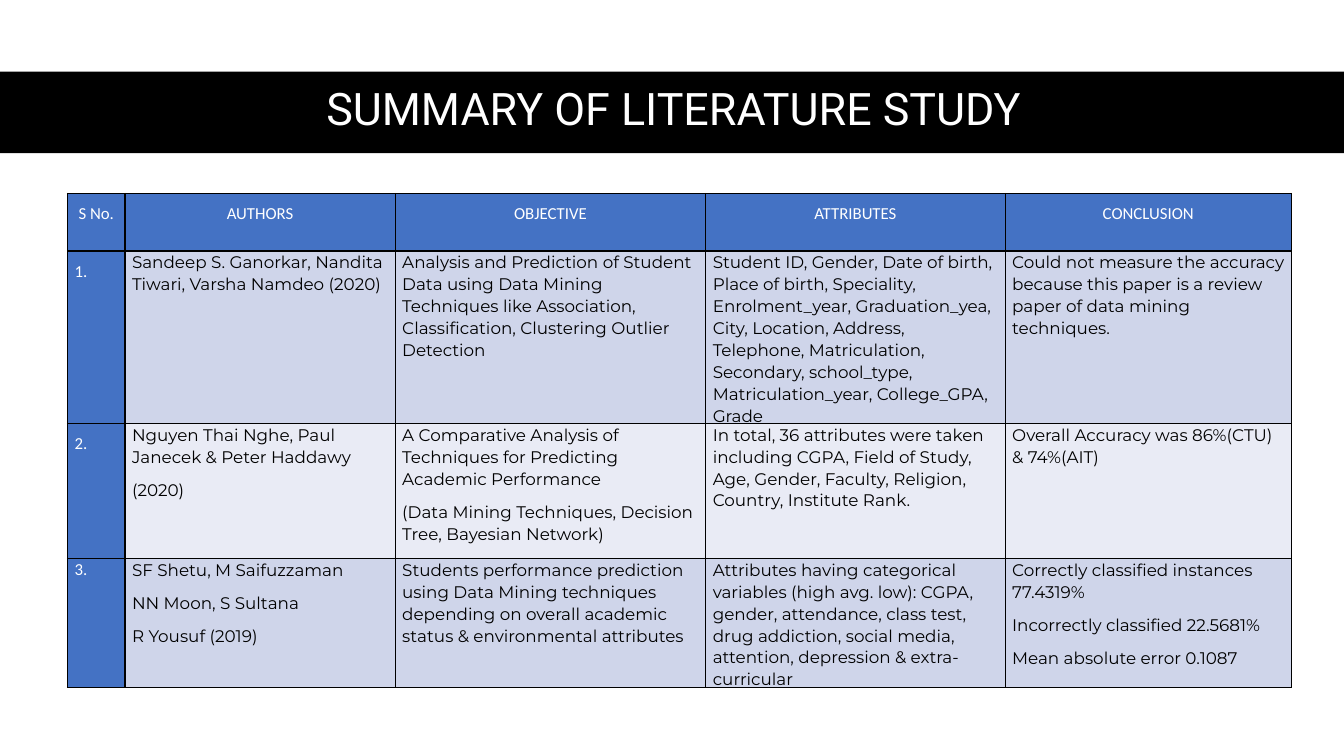
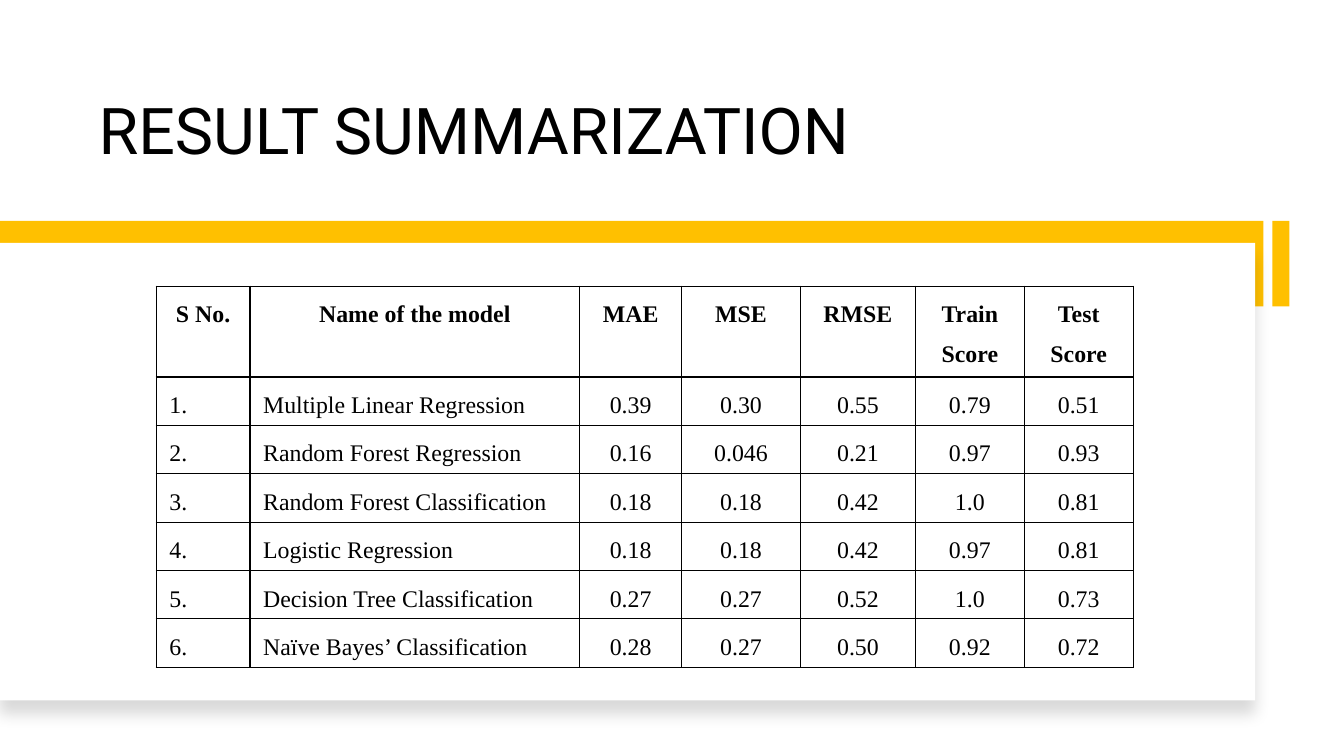
"""Builds two slides: a literature summary and a table of model results."""
import pptx
import pptx.util
import pptx.dml.color
import pptx.enum.shapes
import pptx.enum.text
import pptx.oxml
import pptx.oxml.ns

Inches = pptx.util.Inches
Pt = pptx.util.Pt
RGB = pptx.dml.color.RGBColor.from_string
ALIGN = pptx.enum.text.PP_ALIGN
ANCHOR = pptx.enum.text.MSO_ANCHOR
RECT = pptx.enum.shapes.MSO_SHAPE.RECTANGLE
NS = pptx.oxml.ns.nsdecls("a")

HUES = {
    "black": "000000", "white": "FFFFFF", "gold": "FFC000",
    "blue": "4472C4", "mid": "CFD5EA", "pale": "E9EBF5",
}


def write(frame, text, size, font, hue, align, space, after=0, bold=False):
    for i, line in enumerate(text.split("\n")):
        para = frame.paragraphs[0] if i == 0 else frame.add_paragraph()
        para.alignment = align
        para.line_spacing = space
        para.space_before = Pt(0)
        para.space_after = Pt(after)
        run = para.add_run()
        run.text = line
        run.font.size = Pt(size)
        run.font.name = font
        run.font.bold = bold
        run.font.color.rgb = RGB(HUES[hue])


def grid(slide, left, top, cols, rows, side, head):
    table = slide.shapes.add_table(
        len(rows), len(cols), Inches(left), Inches(top),
        Inches(sum(cols)), Inches(sum(rows))).table
    table.first_row = table.horz_banding = False
    for col, width in zip(table.columns, cols):
        col.width = Inches(width)
    for row, height in zip(table.rows, rows):
        row.height = Inches(height)
    for cell in table.iter_cells():
        cell.margin_left = cell.margin_right = Inches(side)
        cell.margin_top = Inches(head)
        cell.margin_bottom = 0
        props = cell._tc.get_or_add_tcPr()
        for edge in ("lnL", "lnR", "lnT", "lnB"):
            props.append(pptx.oxml.parse_xml(
                f'<a:{edge} {NS} w="12700"><a:solidFill><a:srgbClr val="{HUES["black"]}"/>'
                f'</a:solidFill></a:{edge}>'))
    return table


deck = pptx.Presentation()
deck.slide_width = Inches(13.33)
deck.slide_height = Inches(7.5)

pages = [
    {
        "title": ("SUMMARY OF LITERATURE STUDY ", 32, "white", ALIGN.CENTER, ANCHOR.MIDDLE),
        "at": (0.61, 0.7, 12.26, 0.81),
        "bars": [(0, 0.71, 13.33, 0.81, "black")],
    },
    {
        "title": ("RESULT SUMMARIZATION", 46, "black", ALIGN.LEFT, ANCHOR.BOTTOM),
        "at": (0.88, 0.42, 10.1, 1.3),
        "bars": [(12.62, 2.19, 0.17, 0.85, "gold"), (0, 2.19, 12.53, 0.85, "gold"),
                 (0, 2.41, 12.45, 4.54, "white")],
    },
]
slides = []
for page in pages:
    slide = deck.slides.add_slide(deck.slide_layouts[6])
    slides.append(slide)
    for *spot, hue in page["bars"]:
        bar = slide.shapes.add_shape(RECT, *map(Inches, spot))
        bar.shadow.inherit = False
        bar.fill.solid()
        bar.fill.fore_color.rgb = RGB(HUES[hue])
        bar.line.fill.background()
        if hue == "white":
            glow = bar._element.spPr.find(pptx.oxml.ns.qn("a:effectLst"))
            glow.append(pptx.oxml.parse_xml(
                f'<a:outerShdw {NS} blurRad="{Pt(11)}" dist="{Pt(10)}" dir="5400000" '
                f'algn="t" rotWithShape="0"><a:srgbClr val="{HUES["black"]}">'
                '<a:alpha val="15000"/></a:srgbClr></a:outerShdw>'))
    text, size, hue, align, anchor = page["title"]
    frame = slide.shapes.add_textbox(*map(Inches, page["at"])).text_frame
    frame.word_wrap = True
    frame.vertical_anchor = anchor
    write(frame, text, size, "Roboto", hue, align, 0.9)

papers = [
    ("S No.", "AUTHORS", "OBJECTIVE", "ATTRIBUTES", "CONCLUSION"),
    ("1.", "Sandeep S. Ganorkar, Nandita Tiwari, Varsha Namdeo (2020)",
     "Analysis and Prediction of Student Data using Data Mining Techniques like "
     "Association, Classification, Clustering Outlier Detection",
     "Student ID, Gender, Date of birth, Place of birth, Speciality, Enrolment_year, "
     "Graduation_yea, City, Location, Address, Telephone, Matriculation, Secondary, "
     "school_type, Matriculation_year, College_GPA, Grade",
     "Could not measure the accuracy because this paper is a review paper of data "
     "mining techniques."),
    ("2.", "Nguyen Thai Nghe, Paul Janecek & Peter Haddawy\n(2020)",
     "A Comparative Analysis of Techniques for Predicting Academic Performance\n"
     "(Data Mining Techniques, Decision Tree, Bayesian Network)",
     "In total, 36 attributes were taken including CGPA, Field of Study, Age, Gender, "
     "Faculty, Religion, Country, Institute Rank.",
     "Overall Accuracy was 86%(CTU) & 74%(AIT)"),
    ("3.", "SF Shetu, M Saifuzzaman\nNN Moon, S Sultana\nR Yousuf (2019)",
     "Students performance prediction using Data Mining techniques depending on "
     "overall academic status & environmental attributes",
     "Attributes having categorical variables (high avg. low): CGPA, gender, "
     "attendance, class test, drug addiction, social media, attention, depression & "
     "extra-curricular",
     "Correctly classified instances 77.4319%\nIncorrectly classified 22.5681%\n"
     "Mean absolute error 0.1087"),
]
table = grid(slides[0], 0.67, 1.92, [0.57, 2.68, 3.08, 2.97, 2.84],
             [0.57, 1.65, 1.34, 1.24], 0.07, 0)
for r, row in enumerate(papers):
    for c, text in enumerate(row):
        cell = table.cell(r, c)
        label = r == 0 or c == 0
        fill = "blue" if label else "mid" if r % 2 else "pale"
        cell.fill.solid()
        cell.fill.fore_color.rgb = RGB(HUES[fill])
        font, hue = ("Calibri", "white") if label else ("Montserrat", "black")
        wide = label and r < 3
        align = ALIGN.CENTER if r == 0 else ALIGN.JUSTIFY if wide else ALIGN.LEFT
        write(cell.text_frame, text, 12, font, hue, align, 1.5 if wide else 1.07, 8)

scores = [
    ("S No.", "Name of the model", "MAE", "MSE", "RMSE", "Train Score", "Test Score"),
    ("1.", "Multiple Linear Regression", "0.39", "0.30", "0.55", "0.79", "0.51"),
    ("2.", "Random Forest Regression", "0.16", "0.046", "0.21", "0.97", "0.93"),
    ("3.", "Random Forest Classification", "0.18", "0.18", "0.42", "1.0", "0.81"),
    ("4.", "Logistic Regression", "0.18", "0.18", "0.42", "0.97", "0.81"),
    ("5.", "Decision Tree Classification", "0.27", "0.27", "0.52", "1.0", "0.73"),
    ("6.", "Naïve Bayes’ Classification", "0.28", "0.27", "0.50", "0.92", "0.72"),
]
table = grid(slides[1], 1.55, 2.84, [0.93, 3.27, 1.01, 1.18, 1.14, 1.08, 1.08],
             [0.9] + [0.48] * 6, 0.13, 0.02)
for r, row in enumerate(scores):
    for c, text in enumerate(row):
        cell = table.cell(r, c)
        cell.fill.background()
        align = ALIGN.JUSTIFY if r and c < 2 else ALIGN.CENTER
        write(cell.text_frame, text, 17, "Times New Roman", "black", align, 1.5, 8, r == 0)

deck.save("out.pptx")
